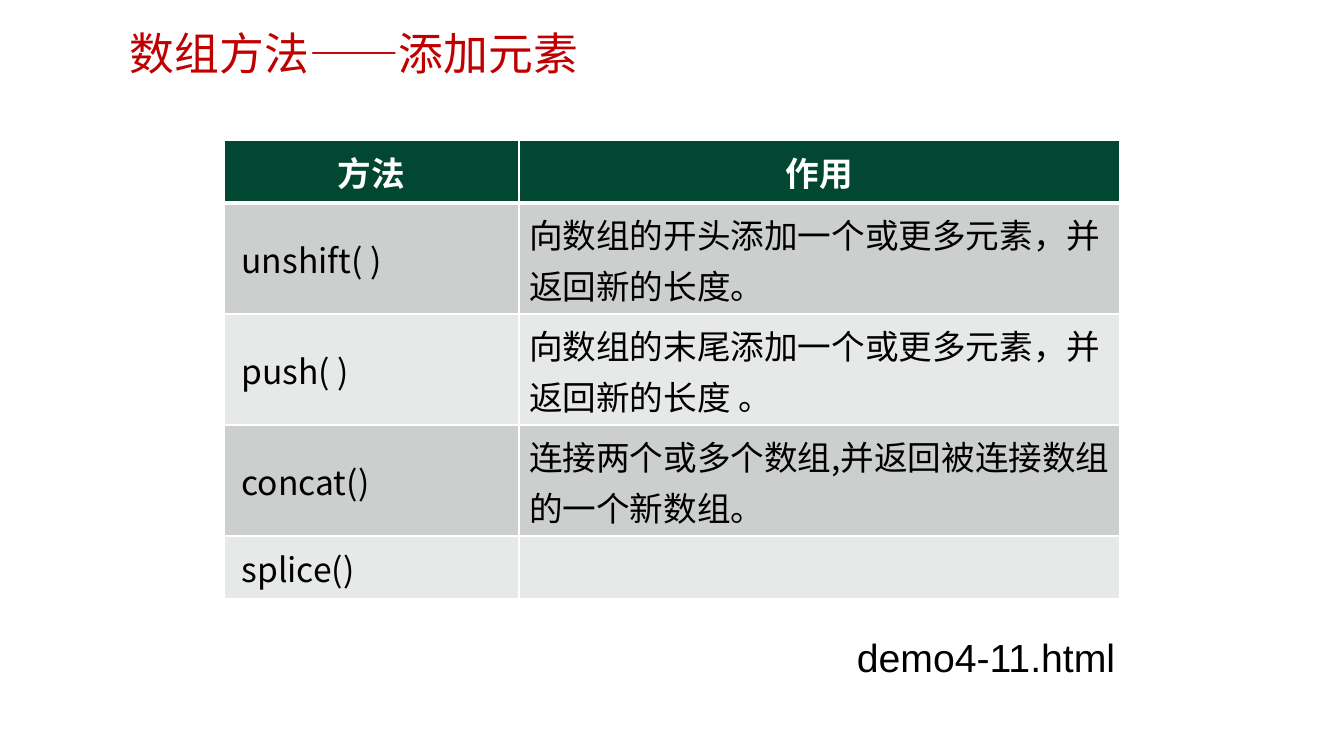
from dataclasses import dataclass

from pptx import Presentation, util as u
from pptx.dml.color import RGBColor
from pptx.enum import text
from pptx.oxml import ns, xmlchemy as xc

PX = 914400 / 100.8


@dataclass(frozen=True)
class Theme:
    """Colours, fonts and type sizes of the slide."""
    red: str = "C00000"
    green: str = "024731"
    white: str = "FFFFFF"
    black: str = "000000"
    bands: tuple = ("CCCFCE", "E7E9E8")
    sans: str = "Noto Sans CJK SC"
    head: str = "Karla"
    note: str = "Arial"
    big: int = 32
    mid: int = 28
    small: int = 24


T = Theme()
HEADS = ("方法", "作用")
ROWS = (
    (" unshift( )", "向数组的开头添加一个或更多元素，并返回新的长度。"),
    (" push( )", "向数组的末尾添加一个或更多元素，并\n返回新的长度 。"),
    (" concat()", "连接两个或多个数组,并返回被连接数组的一个新数组。"),
    (" splice()", ""),
)


def emu(n):
    """Turn pixels into EMU."""
    return u.Emu(round(n * PX))


def write(para, words, size, color, font, bold=False):
    """Add words as runs, with a line break at each newline."""
    for i, part in enumerate(words.split("\n")):
        if i:
            para.add_line_break()
        run = para.add_run()
        run.text = part
        run.font.size = u.Pt(size)
        run.font.bold = bold
        run.font.name = font
        run.font.color.rgb = RGBColor.from_string(color)
        east = xc.OxmlElement("a:ea")
        east.set("typeface", T.sans)
        run._r.get_or_add_rPr().append(east)


def label(slide, box, words, size, color, font, anchor):
    """Place one line of text in a box."""
    frame = slide.shapes.add_textbox(*map(emu, box)).text_frame
    frame.word_wrap = True
    frame.vertical_anchor = anchor
    write(frame.paragraphs[0], words, size, color, font)


def edge(cell, side, width):
    """Draw a white border on one side of a cell."""
    line = xc.OxmlElement("a:ln" + side)
    line.set("w", str(u.Pt(width)))
    fill = xc.OxmlElement("a:solidFill")
    tint = xc.OxmlElement("a:srgbClr")
    tint.set("val", T.white)
    fill.append(tint)
    line.append(fill)
    cell._tc.get_or_add_tcPr().append(line)


def paint(cell, color, top, base):
    """Give a cell its borders, fill and anchor."""
    for side, width in zip("LRTB", (1, 1, top, base)):
        edge(cell, side, width)
    cell.fill.solid()
    cell.fill.fore_color.rgb = RGBColor.from_string(color)
    cell.vertical_anchor = text.MSO_ANCHOR.MIDDLE


def grid(slide, box, split, low):
    """Place the method table; split is the first column, low a one-line row."""
    wide, high = box[2:]
    table = slide.shapes.add_table(len(ROWS) + 1, 2, *map(emu, box)).table
    table.horz_banding = False
    for col, width in zip(table.columns, (split, wide - split)):
        col.width = emu(width)
    tall = (high - 2 * low) / (len(ROWS) - 1)
    for r, pair in enumerate((HEADS,) + ROWS):
        table.rows[r].height = emu(low if r in (0, len(ROWS)) else tall)
        for c, words in enumerate(pair):
            cell = table.cell(r, c)
            fill = T.bands[(r - 1) % 2] if r else T.green
            paint(cell, fill, 3 if r == 1 else 1, 1 if r else 3)
            if not words:
                continue
            para = cell.text_frame.paragraphs[0]
            if r == 0:
                para.alignment = text.PP_ALIGN.CENTER
                write(para, words, T.small, T.white, T.head, True)
                continue
            if c:
                para.line_spacing = u.Pt(36)
                para.space_after = u.Pt(6)
            write(para, words, T.small, T.black, T.sans)


def build():
    """Build the slide and save it."""
    deck = Presentation()
    deck.slide_width, deck.slide_height = emu(1344), emu(756)
    slide = deck.slides.add_slide(deck.slide_layouts[6])
    label(slide, (120, 26, 903, 54), "数组方法——添加元素",
          T.big, T.red, T.sans, text.MSO_ANCHOR.MIDDLE)
    label(slide, (847, 628, 342, 57), "demo4-11.html",
          T.mid, T.black, T.note, text.MSO_ANCHOR.TOP)
    grid(slide, (224, 140, 896, 459), 295, 63)
    deck.save("out.pptx")


build()
